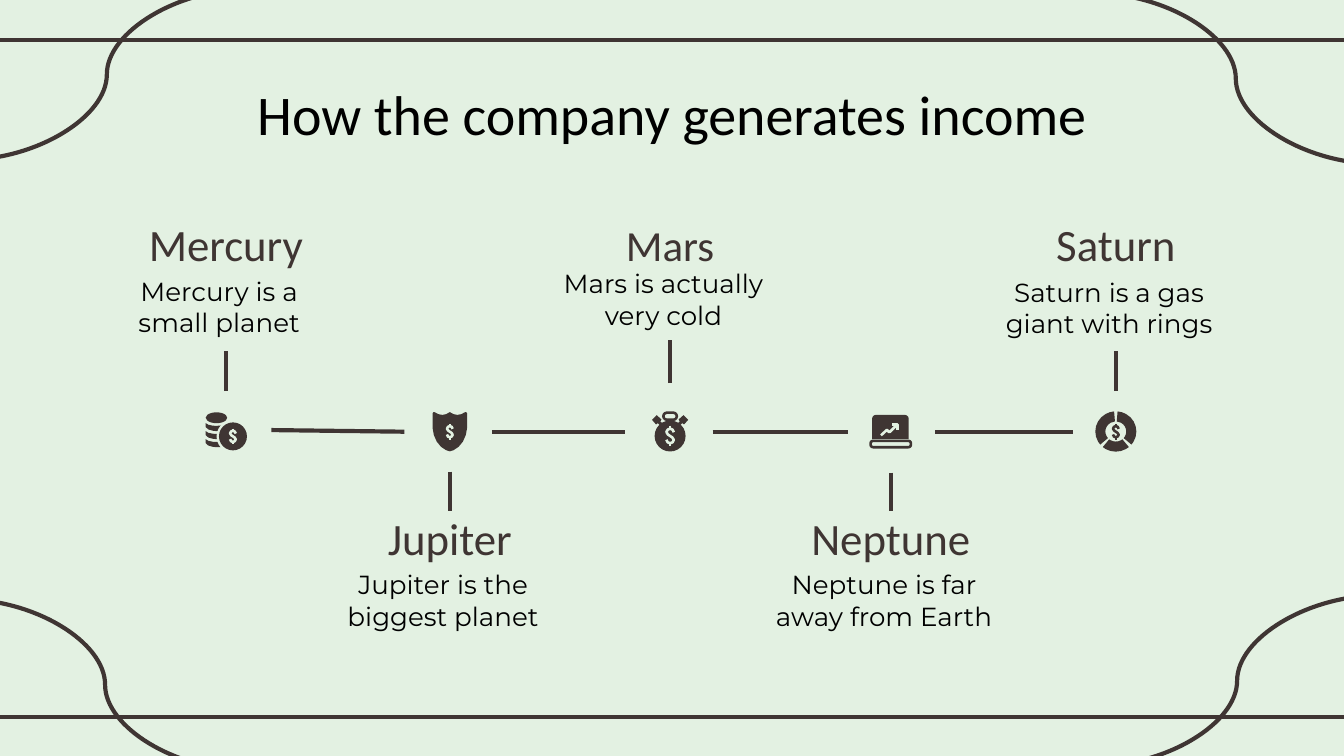
from collections import namedtuple

from pptx import Presentation
from pptx.dml.color import RGBColor
from pptx.enum.shapes import MSO_CONNECTOR as Connector, MSO_SHAPE as Shape
from pptx.enum.text import MSO_ANCHOR as Anchor, PP_ALIGN as Align
from pptx.oxml.ns import qn
from pptx.util import Pt
from lxml.etree import SubElement

COLORS = {"background": "E3F1E2", "dark": "3F3533", "text": "000000"}
FORMATS = {
    "title": {"name": "Calibri", "size": Pt(30)},
    "heading": {"name": "Calibri", "size": Pt(24)},
    "small heading": {"name": "Calibri", "size": Pt(23)},
    "body": {"name": "Montserrat", "size": Pt(14)},
}
AXIS_Y = 231
BOX_WIDTH = 128
ICON_STROKE = 1.4

Step = namedtuple("Step", "name text x heading_top heading_height body_top "
                          "body_height stem_start heading_format anchor")
STEPS = [
    Step("Mercury", "Mercury is a small planet", 121, 116, 23, 147.6, 40.3, 209.5,
         "heading", Anchor.TOP),
    Step("Jupiter", "Jupiter is the biggest planet", 241, 273.6, 25.2, 304.6, 43.2, 252.7,
         "heading", Anchor.TOP),
    Step("Mars", "Mars is actually very cold", 359, 117.4, 27.4, 145.4, 36.7, 205.2,
         "small heading", Anchor.MIDDLE),
    Step("Neptune", "Neptune is far away from Earth", 477.2, 273.6, 25.2, 304.6, 43.2, 253.2,
         "heading", Anchor.TOP),
    Step("Saturn", "Saturn is a gas giant with rings", 597.8, 116, 23, 148, 40.3, 209.5,
         "heading", Anchor.TOP),
]
AXIS_LINES = [(145.4, 230.4, 216.7), (263.5, 231.3, 335), (381.8, 231.3, 454.2),
              (501, 231.3, 574.6)]
FRAME_CURVES = [(-19.4, 321.1, 132, 412.6), (586.1, -3.6, 738, 87.8),
                (738.7, 319, 586.8, 410.4), (133.2, -5.8, -18.7, 85.7)]


def color(key):
    return RGBColor.from_string(COLORS[key])


def add_line(slide, x1, y1, x2, y2, kind=Connector.STRAIGHT):
    line = slide.shapes.add_connector(kind, Pt(x1), Pt(y1), Pt(x2), Pt(y2))
    line.line.color.rgb = color("dark")
    line.line.width = Pt(2.25)
    SubElement(line._element.spPr, qn("a:effectLst"))
    return line


def add_text(slide, text, box, style, text_color, insets=(0, 0, 0, 0), anchor=Anchor.TOP):
    """Insets are left, top, right, bottom."""
    shape = slide.shapes.add_textbox(*map(Pt, box))
    frame = shape.text_frame
    frame.word_wrap = True
    frame.vertical_anchor = anchor
    for side, inset in zip(("left", "top", "right", "bottom"), insets):
        setattr(frame, f"margin_{side}", Pt(inset))
    paragraph = frame.paragraphs[0]
    paragraph.text = text
    paragraph.alignment = Align.CENTER
    for attribute, value in FORMATS[style].items():
        setattr(paragraph.font, attribute, value)
    paragraph.font.color.rgb = color(text_color)
    return shape


def paint(shape, key, outlined=False):
    """Fill a shape, or only stroke its outline."""
    shape.shadow.inherit = False
    if outlined:
        shape.fill.background()
        shape.line.color.rgb = color(key)
        shape.line.width = Pt(ICON_STROKE)
    else:
        shape.fill.solid()
        shape.fill.fore_color.rgb = color(key)
        shape.line.fill.background()


def add_part(slide, kind, x, dx, dy, width, height, key="dark", outlined=False, adjust=()):
    """Add a preset shape centred at an offset from the icon centre."""
    shape = slide.shapes.add_shape(kind, Pt(x + dx - width / 2), Pt(AXIS_Y + dy - height / 2),
                                   Pt(width), Pt(height))
    paint(shape, key, outlined)
    for index, value in enumerate(adjust):
        shape.adjustments[index] = value


def add_outline(slide, x, contours, key="dark", outlined=False, dy=0):
    """Draw contours given in tenths of a point from the icon centre."""
    (start, *rest), *others = contours
    builder = slide.shapes.build_freeform(*start, scale=Pt(1) / 10)
    builder.add_line_segments(rest, close=not outlined)
    for first, *points in others:
        builder.move_to(*first)
        builder.add_line_segments(points, close=not outlined)
    shape = builder.convert_to_shape(Pt(x), Pt(AXIS_Y + dy))
    paint(shape, key, outlined)


def add_dollar(slide, x, dy, key, scale=1):
    curve = [(15, -15), (10, -26), (0, -30), (-10, -26), (-15, -16), (-9, -6),
             (9, 6), (15, 16), (10, 26), (0, 30), (-10, 26), (-15, 15)]
    contours = [curve, [(0, -42), (0, -30)], [(0, 30), (0, 42)]]
    scaled = [[(px * scale, py * scale) for px, py in contour] for contour in contours]
    add_outline(slide, x, scaled, key, outlined=True, dy=dy)


def draw_coins(slide, x):
    add_part(slide, Shape.OVAL, x, -5, -7.2, 11.5, 5.8)
    band = [(-108, -43), (-94, -34), (-70, -29), (-50, -28), (-28, -30),
            (-28, 0), (-50, 0), (-70, -2), (-94, -9), (-108, -22)]
    for index in range(3):
        add_outline(slide, x, [band], dy=4.3 * index)
    add_part(slide, Shape.OVAL, x, 3.8, 2.8, 17.6, 17.6, "background")
    add_part(slide, Shape.OVAL, x, 3.8, 2.8, 15, 15)
    add_dollar(slide, x + 3.8, 2.8, "background")


def draw_shield(slide, x):
    right = [(0, -102), (20, -91), (40, -87), (62, -91), (80, -101), (88, -102), (92, -96),
             (92, -15), (86, 20), (70, 56), (47, 84), (20, 102), (0, 108)]
    left = [(-px, py) for px, py in reversed(right[1:-1])]
    add_outline(slide, x, [right + left])
    add_dollar(slide, x, 0.3, "background")


def draw_stopwatch(slide, x):
    add_part(slide, Shape.ROUNDED_RECTANGLE, x, 0, -8, 7.2, 3.8, outlined=True, adjust=[0.5])
    ear = [(-97, -61), (-72, -86), (-46, -63), (-52, -52), (-36, -38), (-50, -28),
           (-66, -43), (-75, -36)]
    add_outline(slide, x, [ear, [(-px, py) for px, py in ear]])
    add_part(slide, Shape.OVAL, x, 0, 2.6, 16.6, 16.6)
    add_dollar(slide, x, 2.6, "background", 1.3)


def draw_laptop(slide, x):
    add_part(slide, Shape.ROUND_2_SAME_RECTANGLE, x, -0.2, -2.2, 19.6, 13, adjust=[0.15])
    add_part(slide, Shape.ROUNDED_RECTANGLE, x, 0, 6.9, 21.6, 3.4, outlined=True, adjust=[0.4])
    trend = [(-52, 22), (-20, -7), (-7, 6), (36, -36)]
    head = [(8, -36), (36, -36), (36, -8)]
    add_outline(slide, x, [trend, head], "background", outlined=True)


def draw_ring(slide, x):
    for start, end in ((275, 40), (50, 130), (140, 265)):
        add_part(slide, Shape.BLOCK_ARC, x, 0, 0.2, 22, 21.6,
                 adjust=[start * 0.6, end * 0.6, 0.25])
    add_dollar(slide, x, 0.3, "dark")


def add_step(slide, step):
    left = step.x - BOX_WIDTH / 2
    heading = add_text(slide, step.name,
                       (left, step.heading_top, BOX_WIDTH, step.heading_height),
                       step.heading_format, "dark", anchor=step.anchor)
    body = add_text(slide, step.text, (left, step.body_top, BOX_WIDTH, step.body_height),
                    "body", "text", (0, 0, 7.2, 7.2), step.anchor)
    stem = add_line(slide, step.x, step.stem_start, step.x, step.heading_top)
    if step.heading_top > AXIS_Y:
        stem.end_connect(heading, 0)
    else:
        stem.end_connect(body, 2)


def main():
    presentation = Presentation()
    presentation.slide_width, presentation.slide_height = Pt(720), Pt(405)
    slide = presentation.slides.add_slide(presentation.slide_layouts[6])
    slide.background.fill.solid()
    slide.background.fill.fore_color.rgb = color("background")
    for y in (21.5, 384):
        add_line(slide, -6, y, 726, y)
    for ends in FRAME_CURVES:
        add_line(slide, *ends, kind=Connector.CURVE)
    add_text(slide, "How the company generates income", (56.2, 35.3, 607.6, 45.4),
             "title", "text", (7.2, 7.2, 7.2, 7.2))
    for start, y, end in AXIS_LINES:
        add_line(slide, start, y, end, 231.3)
    icons = (draw_coins, draw_shield, draw_stopwatch, draw_laptop, draw_ring)
    for step, draw_icon in zip(STEPS, icons):
        add_step(slide, step)
        draw_icon(slide, step.x)
    presentation.save("out.pptx")


if __name__ == "__main__":
    main()
